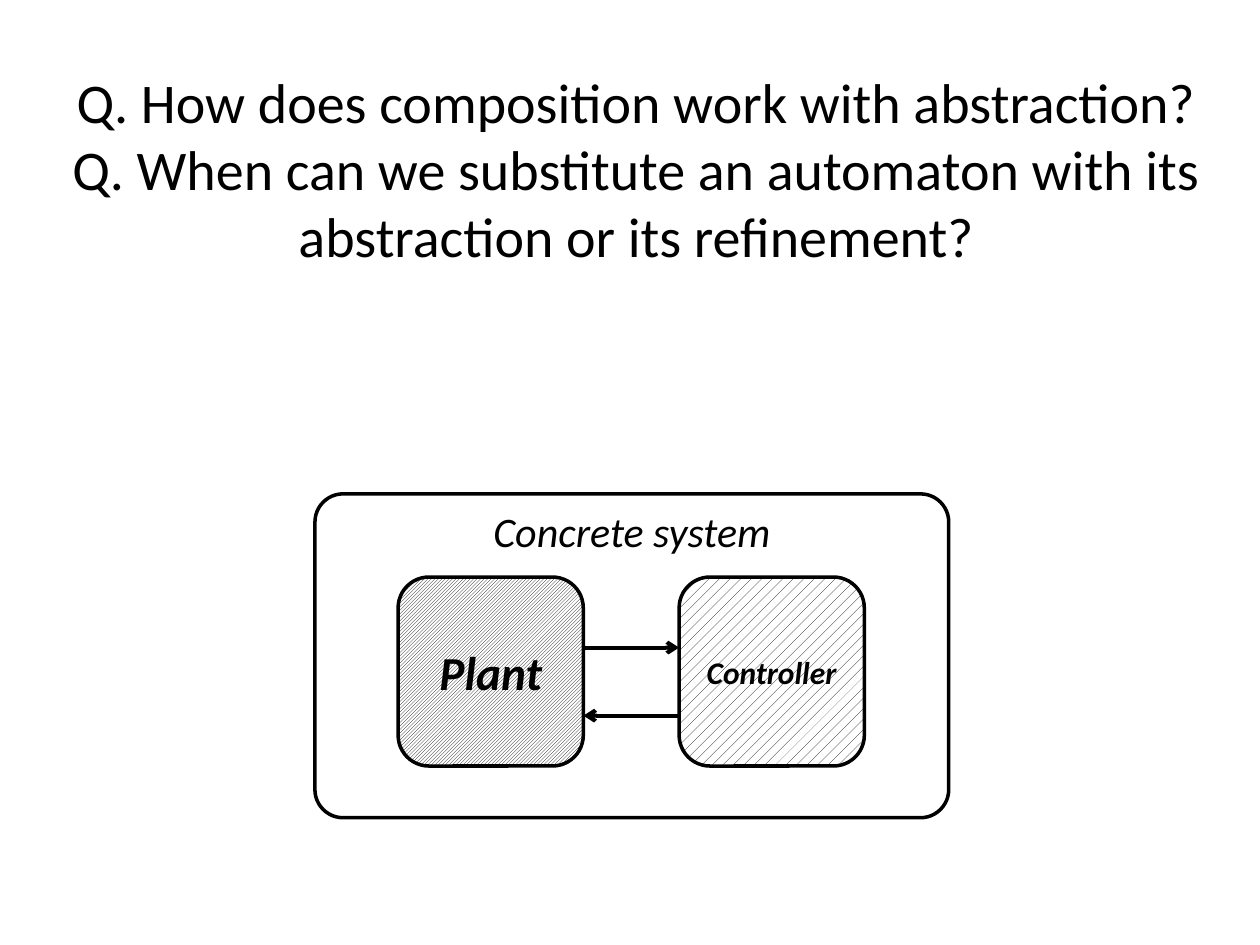
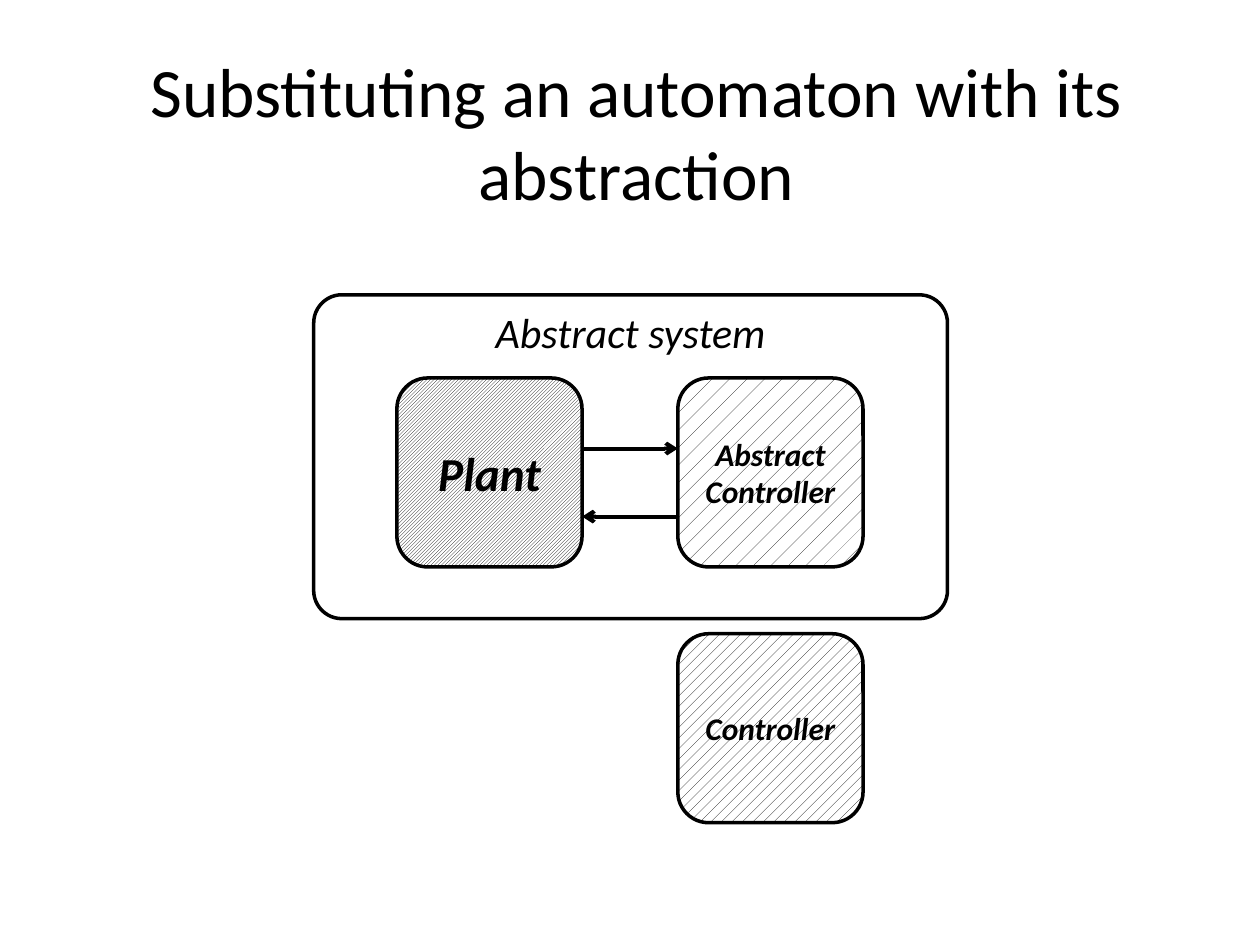
from lxml.etree import SubElement
from pptx import Presentation
from pptx.dml.color import RGBColor
from pptx.enum.dml import MSO_PATTERN_TYPE as Pattern
from pptx.enum.shapes import MSO_CONNECTOR as Connector, MSO_SHAPE as Shape
from pptx.enum.text import MSO_ANCHOR as Anchor, MSO_AUTO_SIZE as AutoSize, PP_ALIGN as Align
from pptx.oxml.ns import qn
from pptx.util import Inches, Pt

COLS, ROWS = 100, 75
BLOCK_W, BLOCK_H = 14.7, 15


def rgb(value):
    """Turn a hex string into a colour."""
    return RGBColor.from_string(value)


def write(tf, text, size, font="Calibri", color="000000", bold=False, italic=False,
          anchor=Anchor.MIDDLE):
    """Put centred text into a frame."""
    tf.word_wrap = True
    tf.auto_size = AutoSize.NONE
    tf.vertical_anchor = anchor
    p = tf.paragraphs[0]
    p.alignment = Align.CENTER
    for i, line in enumerate(text.split("\n")):
        if i:
            p.add_line_break()
        r = p.add_run()
        r.text = line
        r.font.name, r.font.size = font, Pt(size)
        r.font.bold, r.font.italic = bold, italic
        r.font.color.rgb = rgb(color)


class Deck:
    """Hold the style and the current slide."""

    ink, paper = "000000", "FFFFFF"

    def __init__(self):
        """Start an empty 4:3 presentation."""
        self.prs = Presentation()
        self.prs.slide_width, self.prs.slide_height = Inches(10), Inches(7.5)
        self.s = None

    def grid(self, *lengths):
        """Convert alternating columns and rows to slide lengths."""
        units = self.prs.slide_width / COLS, self.prs.slide_height / ROWS
        return [round(n * units[i % 2]) for i, n in enumerate(lengths)]

    def slide(self, title, size, height):
        """Add a slide and set its title."""
        self.s = self.prs.slides.add_slide(self.prs.slide_layouts[5])
        sp = self.s.shapes.title
        sp.left, sp.top, sp.width, sp.height = self.grid(4.2, 5, 92.6, height)
        write(sp.text_frame, title, size)

    def box(self, x, y, w, h):
        """Add a rounded box with the shared outline."""
        sp = self.s.shapes.add_shape(Shape.ROUNDED_RECTANGLE, *self.grid(x, y, w, h))
        sp.shadow.inherit = False
        sp.line.color.rgb = rgb(self.ink)
        sp.line.width = Pt(2)
        return sp

    def frame(self, x, y, label):
        """Add the system frame with its label at the top."""
        sp = self.box(x, y, 50.3, 25.7)
        sp.adjustments[0] = 0.087
        sp.fill.solid()
        sp.fill.fore_color.rgb = rgb(self.paper)
        sp.text_frame.margin_top = Inches(0.03)
        write(sp.text_frame, label, 24, italic=True, anchor=Anchor.TOP)

    def block(self, x, y, text, pattern, size=18):
        """Add a patterned automaton block."""
        sp = self.box(x, y, BLOCK_W, BLOCK_H)
        sp.fill.patterned()
        sp.fill.pattern = pattern
        sp.fill.fore_color.rgb = rgb(self.ink)
        sp.fill.back_color.rgb = rgb(self.paper)
        write(sp.text_frame, text, size, bold=True, italic=True)

    def arrow(self, x1, x2, y):
        """Add a horizontal arrow from x1 to x2."""
        sp = self.s.shapes.add_connector(Connector.STRAIGHT, *self.grid(x1, y, x2, y))
        sp.line.color.rgb = rgb(self.ink)
        sp.line.width = Pt(2.25)
        SubElement(sp.line._get_or_add_ln(), qn("a:tailEnd"), type="arrow")
        SubElement(sp._element.spPr, qn("a:effectLst"))

    def system(self, x, y, label, controller, pattern):
        """Draw a plant and a controller in a loop; return the controller's corner."""
        plant_x, control_x, top = x + 6.6, x + 28.9, y + 6.6
        plant_right = plant_x + BLOCK_W
        self.frame(x, y, label)
        self.block(plant_x, top, "Plant", Pattern.LIGHT_UPWARD_DIAGONAL, size=27)
        self.block(control_x, top, controller, pattern)
        self.arrow(plant_right, control_x, top + 5.6)
        self.arrow(control_x, plant_right, top + 11)
        return control_x, top


def main():
    """Build both slides and save them."""
    deck = Deck()
    deck.slide("Q. How does composition work with abstraction?\n"
               "Q. When can we substitute an automaton with its abstraction or its refinement?",
               32, 16.7)
    deck.system(25, 39.2, "Concrete system", "Controller", Pattern.PERCENT_20)

    deck.slide("Substituting an automaton with its abstraction", 39.6, 10.9)
    x, y = deck.system(24.9, 23.4, "Abstract system", "Abstract Controller", Pattern.PERCENT_5)
    deck.block(x, y + 20.3, "Controller", Pattern.PERCENT_20)

    deck.prs.save("out.pptx")


if __name__ == "__main__":
    main()
